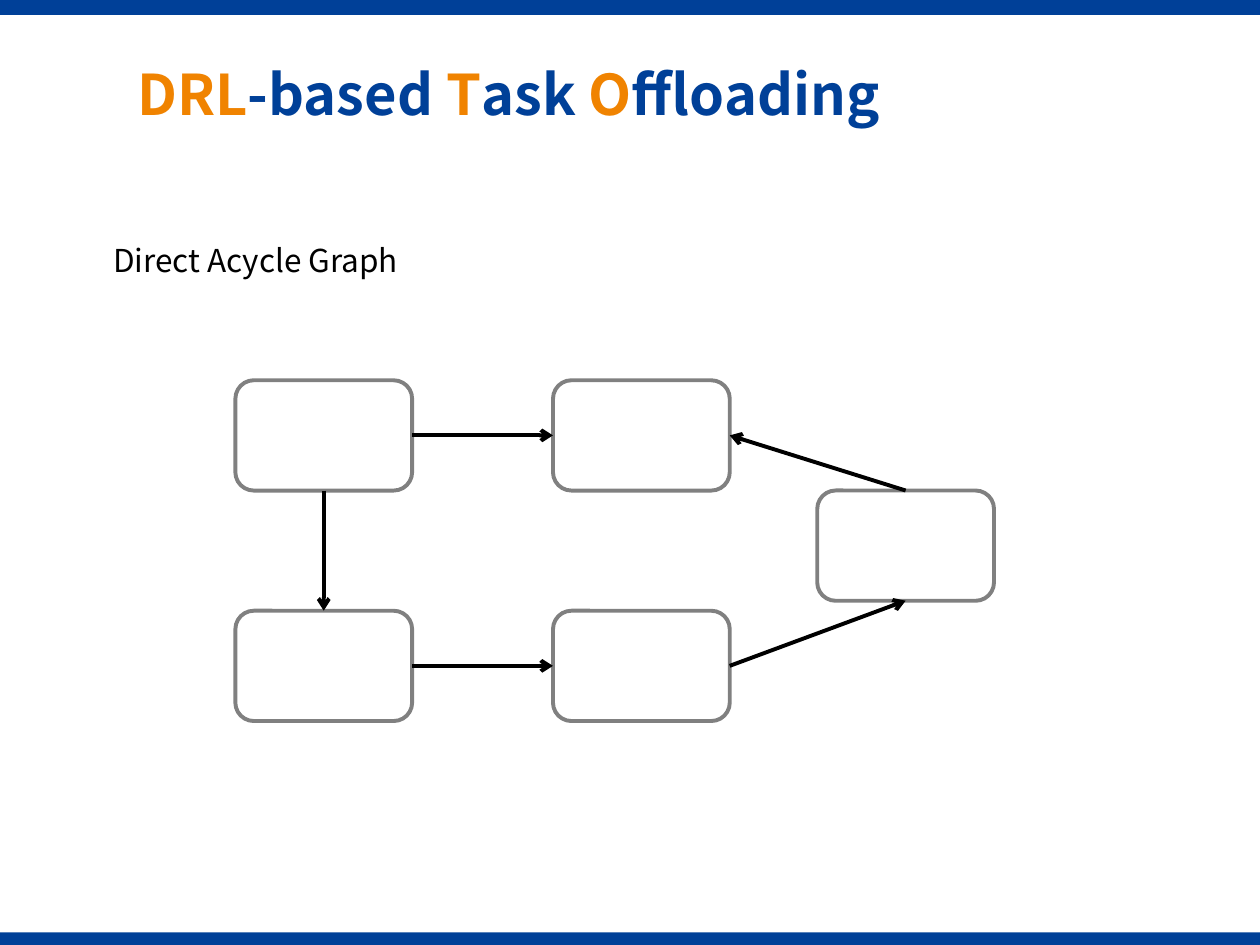
"""Build a slide that shows a task graph of five nodes joined by arrows."""
from lxml.etree import SubElement
from pptx import Presentation
from pptx.dml.color import RGBColor
from pptx.enum.shapes import MSO_CONNECTOR, MSO_SHAPE
from pptx.enum.text import MSO_ANCHOR
from pptx.oxml.ns import qn
from pptx.util import Pt

FONT = "Noto Sans CJK SC"
BLUE, ORANGE, GRAY, BLACK = "004098", "F08300", "808080", "000000"
WIDTH, HEIGHT = 720, 540
BARS = [(0, 8.6), (532.8, 7.2)]
TITLE = [("DRL", ORANGE), ("-based ", BLUE), ("T", ORANGE), ("ask ", BLUE),
         ("O", ORANGE), ("ffloading", BLUE)]
CAPTION = [("Direct Acycle Graph", BLACK)]
NODE_WIDTH, NODE_HEIGHT = 101, 63
NODES = {
    "start": (134.5, 217.3),
    "upper": (316, 217.3),
    "lower left": (134.5, 349),
    "lower right": (316, 349),
    "side": (467, 280.3),
}
SITES = {"top": 0, "left": 1, "bottom": 2, "right": 3}
EDGES = [
    ("start", "right", "upper", "left"),
    ("start", "bottom", "lower left", "top"),
    ("lower left", "right", "lower right", "left"),
    ("lower right", "right", "side", "bottom"),
    ("side", "top", "upper", "right"),
]


def color(value):
    return RGBColor.from_string(value)


def add_box(page, kind, left, top, width, height):
    box = page.shapes.add_shape(kind, Pt(left), Pt(top), Pt(width), Pt(height))
    box.shadow.inherit = False
    return box


def add_bar(page, top, height):
    bar = add_box(page, MSO_SHAPE.RECTANGLE, 0, top, WIDTH, height)
    bar.fill.solid()
    bar.fill.fore_color.rgb = color(BLUE)
    bar.line.fill.background()


def add_node(page, left, top):
    node = add_box(page, MSO_SHAPE.ROUNDED_RECTANGLE, left, top, NODE_WIDTH, NODE_HEIGHT)
    node.fill.background()
    node.line.color.rgb = color(GRAY)
    node.line.width = Pt(2.25)
    return node


def add_arrow(page, source, source_side, target, target_side):
    arrow = page.shapes.add_connector(MSO_CONNECTOR.STRAIGHT, 0, 0, 0, 0)
    arrow.begin_connect(source, SITES[source_side])
    arrow.end_connect(target, SITES[target_side])
    arrow.line.color.rgb = color(BLACK)
    arrow.line.width = Pt(2.25)
    SubElement(arrow.line._get_or_add_ln(), qn("a:tailEnd"), type="arrow")
    SubElement(arrow._element.spPr, qn("a:effectLst"))


def add_text(page, left, top, width, height, spans, size, bold, anchor):
    box = page.shapes.add_textbox(Pt(left), Pt(top), Pt(width), Pt(height))
    frame = box.text_frame
    frame.word_wrap = True
    frame.vertical_anchor = anchor
    para = frame.paragraphs[0]
    for text, shade in spans:
        span = para.add_run()
        span.text = text
        font = span.font
        font.name, font.size, font.bold = FONT, Pt(size), bold
        font.color.rgb = color(shade)
    return para


def main():
    deck = Presentation()
    deck.slide_width, deck.slide_height = Pt(WIDTH), Pt(HEIGHT)
    page = deck.slides.add_slide(deck.slide_layouts[6])
    for top, height in BARS:
        add_bar(page, top, height)
    title = add_text(page, 71.3, 31, 626.4, 45.4, TITLE, 32, True, MSO_ANCHOR.BOTTOM)
    title.line_spacing = 0.9
    nodes = {name: add_node(page, *place) for name, place in NODES.items()}
    for source, source_side, target, target_side in EDGES:
        add_arrow(page, nodes[source], source_side, nodes[target], target_side)
    add_text(page, 57.6, 133.9, 257.8, 28.8, CAPTION, 18, False, MSO_ANCHOR.MIDDLE)
    deck.save("out.pptx")


if __name__ == "__main__":
    main()
